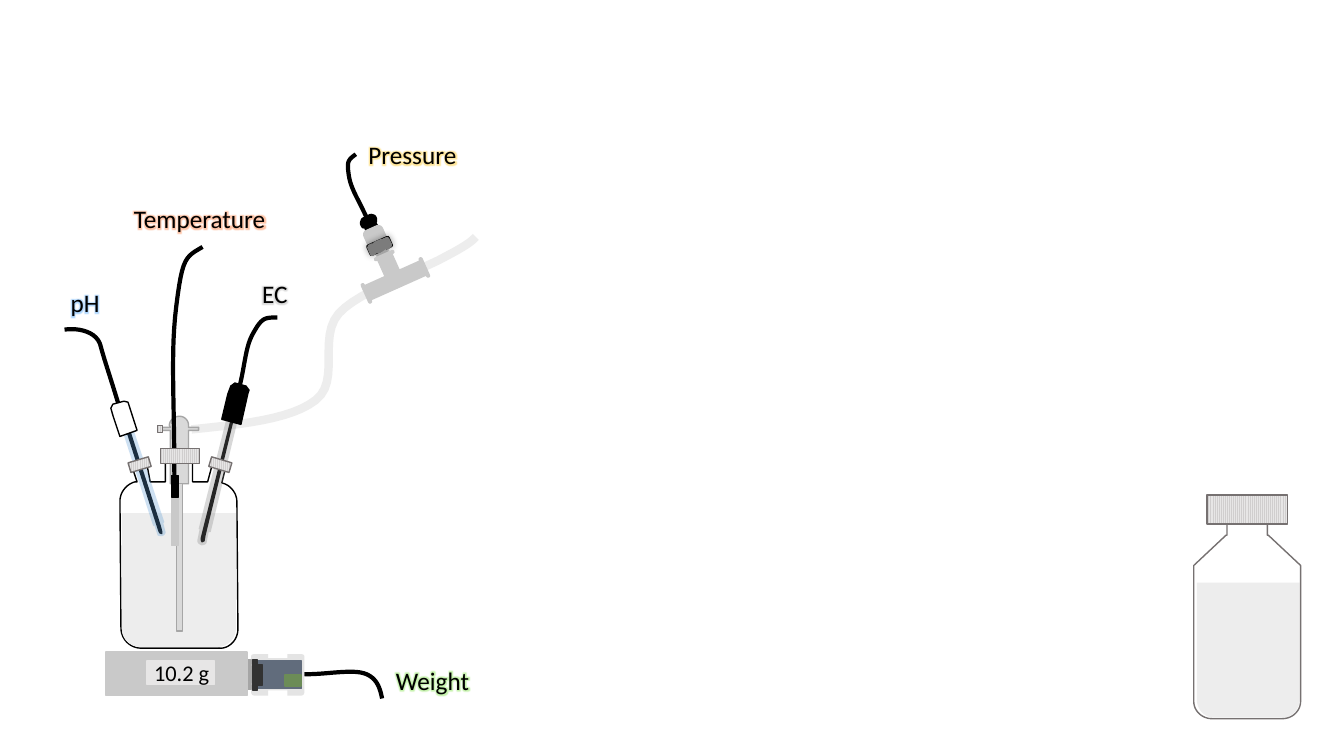
from lxml import etree
from pptx import Presentation
from pptx.dml.color import RGBColor
from pptx.enum import dml, shapes, text
from pptx.oxml import ns
from pptx.util import Inches, Pt

COLORS = {
    "black": "000000", "white": "FFFFFF", "liquid": "EDEDED", "steel": "C9C9C9",
    "rod": "D9D9D9", "rod_edge": "A6A6A6", "outline": "767171", "collar": "7C7C7C",
    "thread": "A5A5A5", "display": "E7E6E6", "ridge": "D0CECE", "plug": "44546A",
    "chip": "548235", "ec": "808080", "ph": "5B9BD5",
}
GLOWS = {"ph": "3399FF", "ec": "A5A5A5", "pressure": "FFC000",
         "weight": "70E030", "temperature": "FF6A20"}
KIND = shapes.MSO_SHAPE


def rgb(name):
    return RGBColor.from_string(COLORS[name])


def add_effect(parent, tag, color, alpha, **attributes):
    """Append an effect list that holds one soft coloured effect."""
    effects = etree.SubElement(parent, ns.qn("a:effectLst"))
    effect = etree.SubElement(effects, ns.qn(tag), attributes)
    tint = etree.SubElement(effect, ns.qn("a:srgbClr"), val=color)
    etree.SubElement(tint, ns.qn("a:alpha"), val=str(alpha * 1000))


def bezier(points, steps=12):
    (x0, y0), (x1, y1), (x2, y2), (x3, y3) = points
    for step in range(1, steps + 1):
        t = step / steps
        a, b, c, d = (1 - t) ** 3, 3 * t * (1 - t) ** 2, 3 * t * t * (1 - t), t ** 3
        yield a * x0 + b * x1 + c * x2 + d * x3, a * y0 + b * y1 + c * y2 + d * y3


def trace(outline):
    """Turn M, L, C and Z commands into points, with curves cut into short lines."""
    points, pending, mode = [], [], "M"
    for token in outline.split():
        if token in "MLCZ":
            mode = token
            continue
        pending.append(float(token))
        if len(pending) == (6 if mode == "C" else 2):
            pairs = list(zip(pending[::2], pending[1::2]))
            points.extend(bezier([points[-1]] + pairs) if mode == "C" else pairs)
            pending = []
    return points


class Region:
    """Draws on the slide with lengths counted from the region's corner."""

    def __init__(self, slide, left, top):
        self.shapes, self.left, self.top = slide.shapes, left, top

    def place(self, x, y):
        return Inches(self.left + x), Inches(self.top + y)

    def paint(self, part, fill, line, width, alpha=None):
        part.shadow.inherit = False
        if fill == "ribbed":
            part.fill.patterned()
            part.fill.pattern = dml.MSO_PATTERN.LIGHT_VERTICAL
            part.fill.fore_color.rgb, part.fill.back_color.rgb = rgb("display"), rgb("ridge")
        elif fill:
            part.fill.solid()
            part.fill.fore_color.rgb = rgb(fill)
        else:
            part.fill.background()
        if alpha:
            tint = part._element.spPr.find(ns.qn("a:solidFill")).find(ns.qn("a:srgbClr"))
            etree.SubElement(tint, ns.qn("a:alpha"), val=str(alpha * 1000))
        if line:
            part.line.color.rgb, part.line.width = rgb(line), Pt(width)
        else:
            part.line.fill.background()
        return part

    def free(self, outline, fill=None, line=None, width=1, alpha=None):
        points = [self.place(x, y) for x, y in trace(outline)]
        builder = self.shapes.build_freeform(*points[0], scale=1.0)
        builder.add_line_segments(points[1:], close=outline.endswith("Z"))
        return self.paint(builder.convert_to_shape(), fill, line, width, alpha)

    def cable(self, outline):
        self.free(outline, line="black", width=3)

    def block(self, x, y, w, h, fill, line=None, width=1, turn=0, kind=KIND.RECTANGLE):
        part = self.shapes.add_shape(kind, *self.place(x, y), Inches(w), Inches(h))
        part.rotation = turn
        return self.paint(part, fill, line or fill, width)

    def cap(self, x, y, w, h, turn=0):
        self.block(x, y, w, h, "ribbed", "outline", turn=turn)

    def caption(self, words, x, y, w, h, size, glow=None, wrap=True, **layout):
        box = self.shapes.add_textbox(*self.place(x, y), Inches(w), Inches(h))
        box.text_frame.word_wrap = wrap
        box.text_frame.auto_size = text.MSO_AUTO_SIZE.SHAPE_TO_FIT_TEXT
        paragraph = box.text_frame.paragraphs[0]
        for name, value in layout.items():
            setattr(paragraph, name, value)
        run = paragraph.add_run()
        run.text = words
        if glow:
            add_effect(run._r.get_or_add_rPr(), "a:glow", GLOWS[glow], 40, rad="63500")
        for name, value in {"size": Pt(size), "name": "Calibri"}.items():
            setattr(run.font, name, value)
        run.font.color.rgb = rgb("black")


def draw_gas_hose(slide, left, top):
    Region(slide, left, top).free(
        "M 0 1.91 C .49 1.86 .99 1.81 1.23 1.62 1.48 1.43 1.25 1 1.46 .76 "
        "1.67 .53 2.28 .33 2.51 .2 2.74 .08 2.78 .04 2.82 0", line="liquid", width=6)


def draw_storage_bottle(slide, left, top):
    bottle = Region(slide, left, top)
    bottle.free("M .07 .88 L 1.09 .88 1.09 2.04 C 1.09 2.14 1.01 2.22 .92 2.22 "
                "L .24 2.22 C .15 2.22 .07 2.14 .07 2.04 Z", "liquid")
    bottle.free("M .37 .15 L .77 .15 .77 .41 .78 .41 1.1 .71 1.1 2.06 "
                "C 1.1 2.15 1.02 2.23 .92 2.23 L .22 2.23 C .12 2.23 .04 2.15 .04 2.06 "
                "L .04 .71 .36 .41 .37 .41 Z", line="outline")
    bottle.cap(.17, .01, .8, .29)


def draw_pressure_sensor(slide, left, top):
    sensor, turn = Region(slide, left, top), 335.9
    sensor.cable("M .66 1.21 C .56 .98 .48 .88 .46 .74 .44 .6 .45 .59 .53 .53")
    sensor.free("M .6 1.18 L .68 1.14 .71 1.15 .72 1.17 .72 1.2 .71 1.21 .73 1.24 "
                "C .73 1.25 .73 1.26 .72 1.26 L .66 1.29 C .66 1.29 .65 1.29 .64 1.28 "
                "L .63 1.24 .61 1.25 .6 1.24 .59 1.22 .59 1.21 Z", "black", "black", 3)
    sensor.block(.75, 1.47, .1, .1, "steel", None, 3, turn)
    sensor.block(.64, 1.27, .17, .17, "steel", None, 3, turn, KIND.ROUNDED_RECTANGLE)
    nut = sensor.block(.66, 1.4, .21, .08, "steel", "black", 3, turn)
    nut._element.spPr.remove(nut._element.spPr.find(ns.qn("a:effectLst")))
    add_effect(nut._element.spPr, "a:outerShdw", COLORS["black"], 40, blurRad="63500")
    middle = sensor.block(.72, 1.4, .1, .08, "collar", None, 3, turn, KIND.ROUNDED_RECTANGLE)
    middle.adjustments[0] = .25
    for side in ("M .82 1.38 L .84 1.37 .87 1.43 .85 1.45 C .84 1.45 .83 1.45 .82 1.44 "
                 "L .81 1.4 C .8 1.39 .81 1.38 .82 1.38 Z",
                 "M .68 1.44 L .66 1.45 .69 1.52 .71 1.51 C .72 1.5 .73 1.49 .72 1.48 "
                 "L .71 1.45 C .7 1.44 .69 1.43 .68 1.44 Z"):
        sensor.free(side, "collar", "collar", 3)
    for ring in range(5):
        x, y = .77 - .005 * ring, 1.59 - .01 * ring
        thread = sensor.shapes.add_connector(
            shapes.MSO_CONNECTOR.STRAIGHT, *sensor.place(x, y), *sensor.place(x + .09, y - .06))
        thread.line.color.rgb, thread.line.width = rgb("thread"), Pt(3)
        etree.SubElement(thread._element.spPr, ns.qn("a:effectLst"))
    tee = sensor.block(.57, 1.52, .63, .36, "steel", None, 3, turn, KIND.LEFT_RIGHT_UP_ARROW)
    for index, value in enumerate((.348, .25, 0)):
        tee.adjustments[index] = value


def draw_balance(slide, left, top):
    balance = Region(slide, left, top)
    balance.cable("M 2.02 .69 C 2.25 .69 2.48 .64 2.61 .68 2.74 .72 2.77 .83 2.79 .93")
    balance.block(1.63, .47, .27, .45, "plug", turn=90)
    balance.block(1.85, .67, .11, .16, "chip", turn=90)
    balance.free("M 1.6 .59 L 1.6 .8 1.55 .8 1.55 .85 1.51 .85 1.51 .54 1.55 .54 1.55 .59 Z",
                 "black", "black")
    balance.free("M 2.02 .52 L 2.02 .86 C 2.02 .88 2.01 .9 1.99 .9 L 1.85 .9 1.85 .85 "
                 "1.66 .85 1.66 .9 1.52 .9 C 1.5 .9 1.49 .88 1.49 .86 L 1.49 .52 "
                 "C 1.49 .5 1.5 .49 1.52 .49 L 1.66 .49 1.66 .53 1.85 .53 1.85 .49 1.99 .49 "
                 "C 2.01 .49 2.02 .5 2.02 .52 Z", "rod_edge", alpha=30)
    balance.block(1.36, .65, .18, .08, "thread", turn=90)
    for pin_top in (.54, .79):
        balance.block(1.44, pin_top, .05, .05, "thread")
    balance.block(.05, .47, 1.4, .43, "steel")
    balance.block(.46, .56, .67, .23, "display")
    balance.caption("10.2 g", .43, .49, .76, .37, 16, wrap=False)


def draw_reactor(slide, left, top):
    reactor = Region(slide, left, top)
    reactor.free("M 1.19 2.49 L 1.37 2.49 C 1.39 2.49 1.41 2.51 1.41 2.53 L 1.41 2.78 "
                 "1.56 2.78 1.6 2.63 C 1.6 2.62 1.61 2.61 1.63 2.62 L 1.72 2.64 "
                 "C 1.73 2.64 1.74 2.65 1.73 2.67 L 1.7 2.79 1.73 2.8 "
                 "C 1.8 2.83 1.85 2.9 1.85 2.98 L 1.86 4.24 C 1.86 4.35 1.77 4.44 1.67 4.43 "
                 "L .9 4.43 C .79 4.43 .7 4.34 .7 4.23 L .69 2.97 C .69 2.88 .76 2.8 .84 2.78 "
                 "L .86 2.78 .82 2.66 C .82 2.64 .83 2.63 .84 2.63 L .93 2.61 "
                 "C .95 2.61 .96 2.61 .96 2.62 L .99 2.78 1.14 2.78 1.14 2.53 "
                 "C 1.14 2.51 1.16 2.49 1.19 2.49 Z", line="black")
    reactor.free("M .71 3.09 L 1.84 3.09 1.84 4.24 C 1.84 4.34 1.75 4.42 1.65 4.42 "
                 "L .9 4.42 C .79 4.42 .71 4.34 .71 4.24 Z", "liquid")
    reactor.free("M 1.28 2.13 C 1.33 2.13 1.37 2.17 1.37 2.22 L 1.37 2.24 1.47 2.24 1.47 2.27 "
                 "1.37 2.27 1.37 2.8 1.19 2.8 1.19 2.27 1.08 2.27 1.08 2.24 1.19 2.24 "
                 "1.18 2.22 C 1.18 2.17 1.23 2.13 1.28 2.13 Z", "rod", "rod_edge")
    reactor.cable("M 1.87 1.86 C 1.94 1.58 1.93 1.44 2.02 1.29 2.1 1.15 2.13 1.15 2.25 1.15")
    reactor.free("M 1.8 2.11 L 1.83 2.12 1.54 3.31 1.53 3.37 1.51 3.38 1.5 3.38 1.49 3.36 "
                 "1.49 3.34 1.5 3.3 Z", "black")
    reactor.free("M 1.76 2.1 L 1.87 2.12 1.59 3.28 1.57 3.28 1.55 3.38 "
                 "C 1.55 3.4 1.52 3.41 1.5 3.41 1.47 3.4 1.45 3.38 1.46 3.35 "
                 "L 1.48 3.25 1.47 3.25 Z", "ec", alpha=30)
    reactor.free("M 1.83 1.8 L 1.94 1.83 1.97 1.87 1.96 1.9 1.89 2.21 1.7 2.16 1.76 1.91 "
                 "1.79 1.83 Z", "black", "black")
    reactor.cable("M .69 2.06 C .62 1.82 .54 1.59 .5 1.44 .47 1.29 .28 1.25 .14 1.27")
    reactor.free("M .74 2.24 L .78 2.23 1.1 3.23 1.11 3.27 1.11 3.3 1.1 3.3 1.08 3.29 "
                 "1.07 3.27 Z", "black")
    reactor.free("M .71 2.26 L .81 2.22 1.13 3.18 1.12 3.19 1.14 3.27 "
                 "C 1.15 3.29 1.13 3.31 1.11 3.32 1.09 3.32 1.06 3.32 1.06 3.3 "
                 "L 1.03 3.21 1.02 3.22 Z", "ph", alpha=30)
    reactor.free("M .62 2.01 L .73 1.98 .77 1.99 .78 2.02 .86 2.27 .69 2.33 .62 2.12 "
                 ".6 2.05 Z", "white", "black")
    reactor.cap(1.58, 2.56, .21, .1, 16.6)
    reactor.cap(.78, 2.56, .21, .1, 343.4)
    reactor.block(1.25, 2.8, .06, 1.46, "rod", "rod_edge")
    reactor.block(1.2, 2.86, .07, .55, "steel")
    reactor.block(1.2, 2.72, .07, .21, "black")
    reactor.cable("M 1.23 2.75 C 1.23 1.9 1.19 1.5 1.25 1.03 1.31 .55 1.34 .55 1.51 .45")
    reactor.cap(1.05, 2.23, .07, .05, 90)
    reactor.cap(1.09, 2.45, .39, .15)


def draw_labels(slide, left, top):
    labels = Region(slide, left, top)
    for words, x, y, w, glow in (
            ("pH", 0, 1.47, .79, "ph"), ("EC", 1.88, 1.38, .79, "ec"),
            ("Pressure", 2.95, 0, 1.38, "pressure"), ("Weight", 2.82, 5.22, 2.04, "weight"),
            ("Temperature", .51, .64, 2.04, "temperature")):
        labels.caption(words, x, y, w, .51, 18, glow,
                       alignment=text.PP_ALIGN.CENTER, line_spacing=1.5)


def main():
    deck = Presentation()
    deck.slide_width, deck.slide_height = Inches(13.33), Inches(7.5)
    slide = deck.slides.add_slide(deck.slide_layouts[6])
    draw_gas_hose(slide, 1.9, 2.35)
    draw_storage_bottle(slide, 11.8, 4.9)
    draw_pressure_sensor(slide, 3, 1)
    draw_balance(slide, 1, 6)
    draw_reactor(slide, .5, 2)
    draw_labels(slide, .45, 1.18)
    deck.save("out.pptx")


if __name__ == "__main__":
    main()
